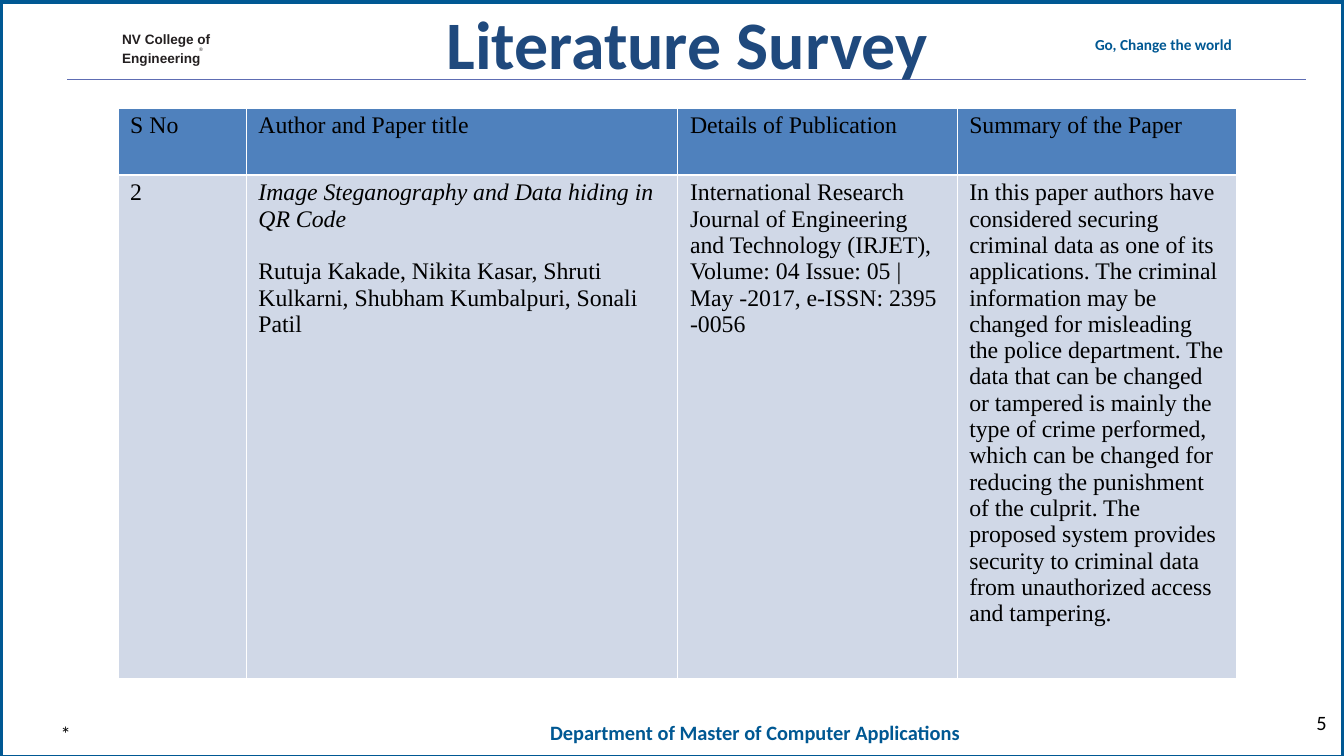
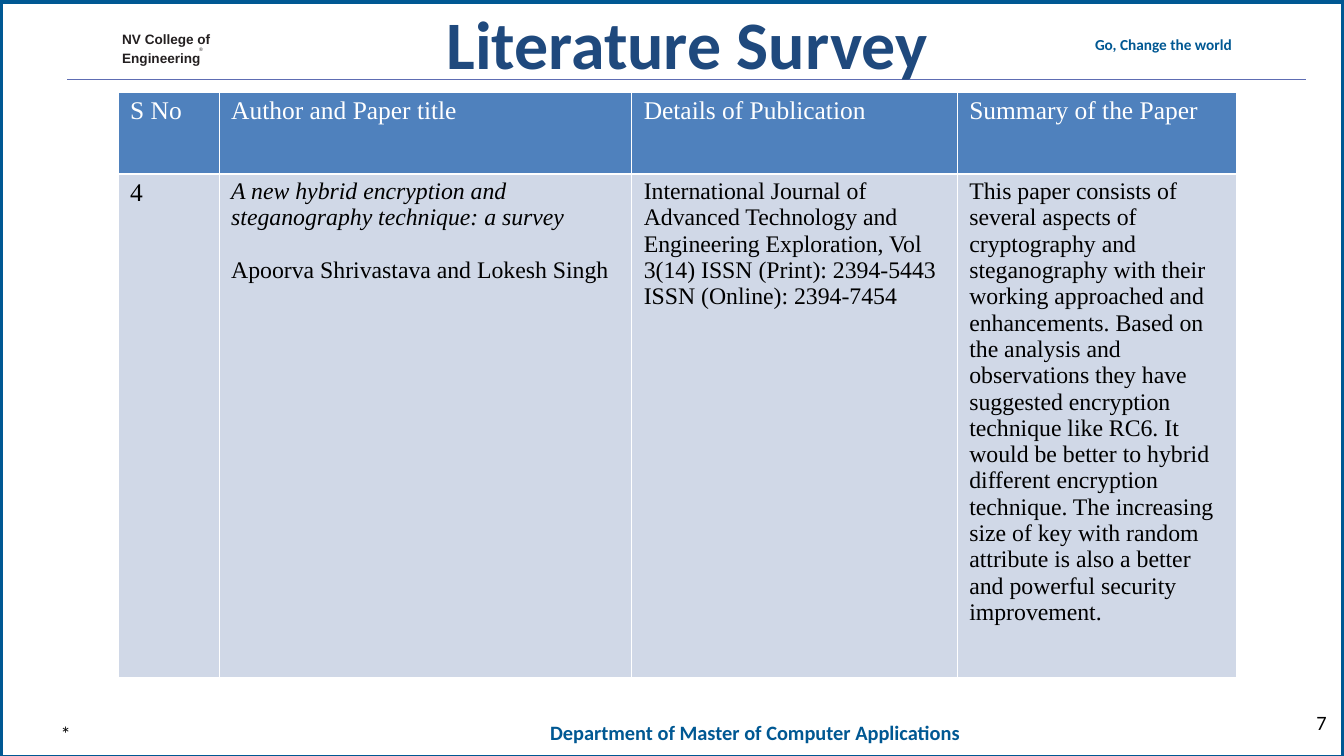
"""Builds two literature survey slides that share one framed layout."""
from dataclasses import dataclass

from lxml import etree
from pptx import Presentation
from pptx.dml.color import RGBColor
from pptx.enum import shapes, text
from pptx.oxml import ns
from pptx.util import Pt

BLUE = RGBColor(0x00, 0x58, 0x93)
NAVY = RGBColor(0x1F, 0x49, 0x7D)
RULE = RGBColor(0x5E, 0x6D, 0xB3)
INK = RGBColor(0x23, 0x1F, 0x20)
BLACK = RGBColor(0, 0, 0)
WHITE = RGBColor(0xFF, 0xFF, 0xFF)
HEADER_FILL = RGBColor(0x4F, 0x81, 0xBD)
ROW_FILL = RGBColor(0xD0, 0xD8, 0xE7)

WIDTH, HEIGHT = 1583.28, 890.64
TABLE_LEFT = 139
BODY_HEIGHT = 593
BODY_SIZE = 28
BLANK_LINE = 31
THIN, THICK = 0.96, 3
HEADINGS = ("S No", "Author and Paper title", "Details of Publication", "Summary of the Paper")


@dataclass
class Survey:
    """One surveyed paper and the table that presents it."""
    page: str
    number: str
    title: str
    authors: str
    publication: str
    summary: str
    top: float
    columns: tuple
    header_height: float
    header_size: float
    header_color: RGBColor


SURVEYS = (
    Survey(
        page="5", number="2",
        title="Image Steganography and Data hiding in QR Code",
        authors="Rutuja Kakade, Nikita Kasar, Shruti Kulkarni, Shubham Kumbalpuri, Sonali Patil",
        publication="International Research Journal of Engineering and Technology (IRJET), "
                    "Volume: 04 Issue: 05 | May -2017, e-ISSN: 2395 -0056",
        summary="In this paper authors have considered securing criminal data as one of its "
                "applications. The criminal information may be changed for misleading the police "
                "department. The data that can be changed or tampered is mainly the type of crime "
                "performed, which can be changed for reducing the punishment of the culprit. The "
                "proposed system provides security to criminal data from unauthorized access and "
                "tampering.",
        top=127.5, columns=(151, 508.5, 329, 329.5),
        header_height=79, header_size=28, header_color=BLACK),
    Survey(
        page="7", number="4",
        title="A new hybrid encryption and steganography technique: a survey",
        authors="Apoorva Shrivastava and Lokesh Singh",
        publication="International Journal of Advanced Technology and Engineering Exploration, "
                    "Vol 3(14) ISSN (Print): 2394-5443 ISSN (Online): 2394-7454",
        summary="This paper consists of several aspects of cryptography and steganography with "
                "their working approached and enhancements. Based on the analysis and observations "
                "they have suggested encryption technique like RC6. It would be better to hybrid "
                "different encryption technique. The increasing size of key with random attribute "
                "is also a better and powerful security improvement.",
        top=108.5, columns=(119, 486, 383.5, 329.5),
        header_height=96.5, header_size=30, header_color=WHITE),
)


def style_text(frame, font, size, color, bold=False):
    """Formats every run of a text frame."""
    for para in frame.paragraphs:
        for span in para.runs:
            span.font.name = font
            span.font.size = Pt(size)
            span.font.bold = bold
            span.font.color.rgb = color


def set_margins(frame, left=0, top=0, right=0, bottom=0):
    """Sets the insets of a text frame or table cell."""
    frame.margin_left, frame.margin_top = Pt(left), Pt(top)
    frame.margin_right, frame.margin_bottom = Pt(right), Pt(bottom)


def add_label(page, place, words, size, color=BLACK, font="Calibri", bold=False, top_inset=0):
    """Adds a plain text box and returns it."""
    box = page.shapes.add_textbox(*map(Pt, place))
    frame = box.text_frame
    frame.word_wrap = True
    set_margins(frame, top=top_inset)
    frame.text = words
    style_text(frame, font, size, color, bold)
    return box


def add_border(page):
    """Adds the white page panel with its blue outline."""
    panel = page.shapes.add_shape(shapes.MSO_SHAPE.RECTANGLE, 0, Pt(1.4), Pt(WIDTH), Pt(HEIGHT))
    panel.shadow.inherit = False
    panel.fill.solid()
    panel.fill.fore_color.rgb = WHITE
    panel.line.color.rgb = BLUE
    panel.line.width = Pt(6)
    return panel


def add_rule(page):
    """Adds the line below the header."""
    rule = page.shapes.add_connector(
        shapes.MSO_CONNECTOR.STRAIGHT, Pt(79), Pt(93.5), Pt(1538), Pt(93.5))
    rule.line.color.rgb = RULE
    rule.line.width = Pt(1.25)
    etree.SubElement(rule.element.spPr, ns.qn("a:effectLst"))
    return rule


def add_college(page):
    """Adds the two-line college name."""
    box = add_label(page, (144, 34.5, 108, 39), "NV College of\nEngineering", 16, INK,
                    "Arial", bold=True, top_inset=1.4)
    for para in box.text_frame.paragraphs:
        para.line_spacing = 1.06
    box.text_frame.paragraphs[1].space_before = Pt(1)
    return box


def move_frame_to_layout(page, layout):
    """Draws the shared frame and moves it to the layout."""
    for holder in list(layout.placeholders):
        if holder.placeholder_format.idx:
            holder.element.getparent().remove(holder.element)
    frame = (
        add_border(page),
        add_rule(page),
        add_college(page),
        add_label(page, (234.5, 55, 10, 8), "®", 6, INK, "Arial"),
        add_label(page, (1290, 40.3, 218, 23), "Go, Change the world", 18, BLUE,
                  bold=True, top_inset=1),
        add_label(page, (648, 847.4, 545, 30), "Department of Master of Computer Applications",
                  24, BLUE, bold=True, top_inset=1),
    )
    for item in frame:
        layout.shapes.element.append(item.element)


def set_title(page, words):
    """Fills and places the title placeholder."""
    title = page.shapes.title
    title.left, title.top, title.width, title.height = map(Pt, (407.5, 1.4, 804, 97))
    frame = title.text_frame
    frame.text = words
    frame.auto_size = text.MSO_AUTO_SIZE.NONE
    frame.vertical_anchor = text.MSO_ANCHOR.TOP
    set_margins(frame)
    frame.paragraphs[0].alignment = text.PP_ALIGN.CENTER
    style_text(frame, "Calibri", 80, NAVY, bold=True)


def set_borders(cell, top, bottom):
    """Gives a cell white borders of the given widths."""
    properties = cell._tc.get_or_add_tcPr()
    for side, width in (("L", THIN), ("R", THIN), ("T", top), ("B", bottom)):
        line = etree.SubElement(properties, ns.qn(f"a:ln{side}"), w=str(int(Pt(width))))
        fill = etree.SubElement(line, ns.qn("a:solidFill"))
        etree.SubElement(fill, ns.qn("a:srgbClr"), val=str(WHITE))


def fill_cell(cell, words, size, color, is_header):
    """Writes and formats one table cell."""
    set_borders(cell, THIN if is_header else THICK, THICK if is_header else THIN)
    cell.fill.solid()
    cell.fill.fore_color.rgb = HEADER_FILL if is_header else ROW_FILL
    set_margins(cell, 14.4, 5.2, 14.4, 5.2)
    cell.text_frame.text = words
    style_text(cell.text_frame, "Times New Roman", size, color)


def add_survey_table(page, survey):
    """Adds the table of one surveyed paper."""
    table = page.shapes.add_table(
        2, len(HEADINGS), Pt(TABLE_LEFT), Pt(survey.top), Pt(sum(survey.columns)),
        Pt(survey.header_height + BODY_HEIGHT)).table
    table.horz_banding = False
    table.rows[0].height = Pt(survey.header_height)
    table.rows[1].height = Pt(BODY_HEIGHT)
    details = (survey.number, f"{survey.title}\n{survey.authors}",
               survey.publication, survey.summary)
    for index, (width, heading, detail) in enumerate(zip(survey.columns, HEADINGS, details)):
        table.columns[index].width = Pt(width)
        fill_cell(table.cell(0, index), heading, survey.header_size, survey.header_color, True)
        size = BODY_SIZE if index else survey.header_size
        fill_cell(table.cell(1, index), detail, size, BLACK, False)
    paper, authors = table.cell(1, 1).text_frame.paragraphs
    paper.runs[0].font.italic = True
    authors.space_before = Pt(BLANK_LINE)


def add_survey_slide(page, survey):
    """Adds the content of one slide."""
    set_title(page, "Literature Survey")
    add_survey_table(page, survey)
    add_label(page, (71.3, 849.6, 364, 29), "*", 24)
    number = add_label(page, (1349, 836.6, 214, 29), survey.page, 24)
    number.text_frame.paragraphs[0].alignment = text.PP_ALIGN.RIGHT


def main():
    """Builds and saves the deck."""
    deck = Presentation()
    deck.slide_width, deck.slide_height = Pt(WIDTH), Pt(HEIGHT)
    layout = deck.slide_layouts[5]
    pages = [deck.slides.add_slide(layout) for _ in SURVEYS]
    move_frame_to_layout(pages[0], layout)
    for page, survey in zip(pages, SURVEYS):
        add_survey_slide(page, survey)
    deck.save("out.pptx")


if __name__ == "__main__":
    main()
